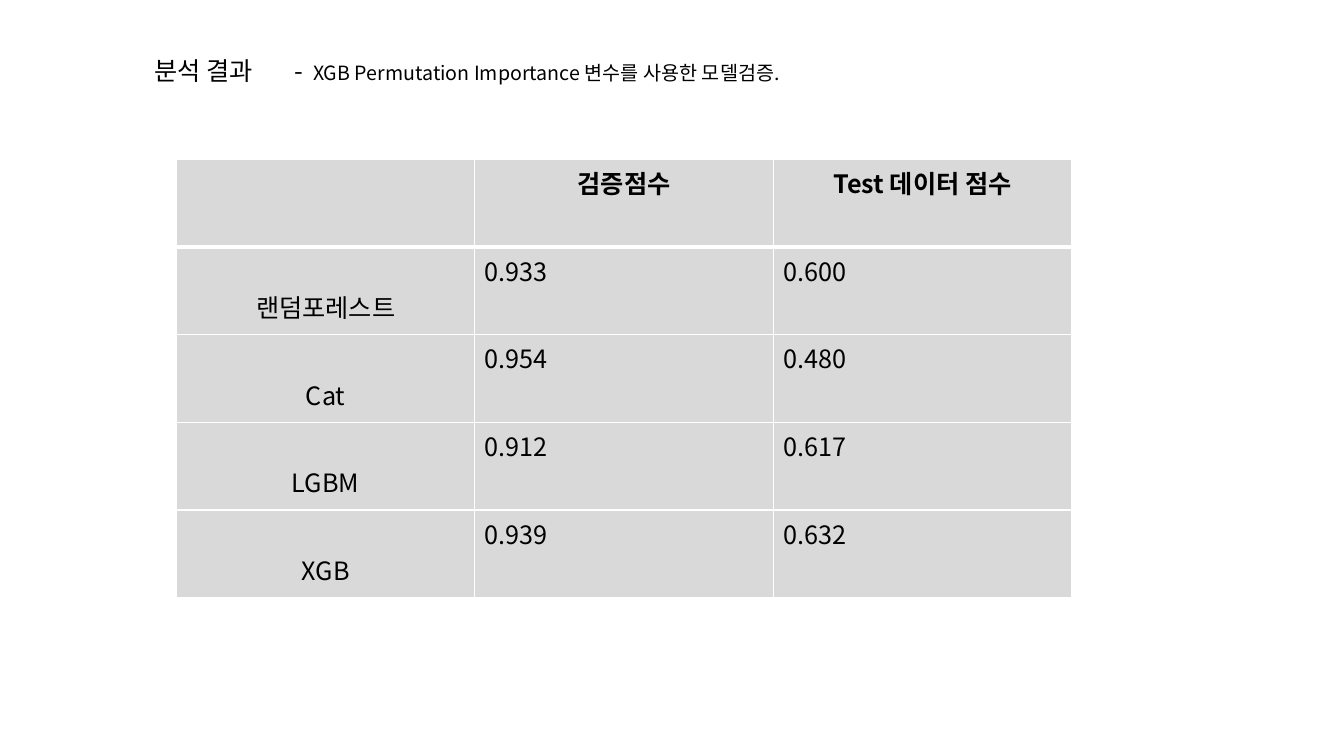
from lxml.etree import SubElement as Sub
from pptx import Presentation
from pptx.dml.color import RGBColor
from pptx.enum.text import MSO_AUTO_SIZE as Auto, PP_ALIGN as Align
from pptx.oxml.ns import qn
from pptx.util import Inches, Pt

FONT = "Noto Sans CJK KR"
HEADS = [
    (1.43, 5.23, [("분석 결과", 18)]),
    (2.82, 5.78, [("- ", 18), (" XGB Permutation Importance 변수를 사용한 모델검증.", 14)]),
]
SCORES = [
    ("", "검증점수", "Test 데이터 점수"),
    ("랜덤포레스트", "0.933", "0.600"),
    ("Cat", "0.954", "0.480"),
    ("LGBM", "0.912", "0.617"),
    ("XGB", "0.939", "0.632"),
]
LEFT, TOP, WIDE, HIGH = 1.75, 1.58, 2.96, 0.87


def color(code):
    return RGBColor.from_string(code)


def write(para, text, size, bold=False):
    run = para.add_run()
    run.text = text
    look = {"name": FONT, "size": Pt(size), "bold": bold}
    for key, value in look.items():
        setattr(run.font, key, value)
    run.font.color.rgb = color("000000")
    Sub(run.font._element, qn("a:ea"), typeface=FONT)


def edge(cell, side, width):
    line = Sub(cell._tc.get_or_add_tcPr(), qn("a:" + side), w=str(Pt(width)))
    Sub(Sub(line, qn("a:solidFill")), qn("a:srgbClr"), val="FFFFFF")


def head(slide, left, width, runs):
    box = slide.shapes.add_textbox(Inches(left), Inches(0.5), Inches(width), Inches(0.4))
    frame = box.text_frame
    frame.word_wrap = True
    frame.auto_size = Auto.SHAPE_TO_FIT_TEXT
    for text, size in runs:
        write(frame.paragraphs[0], text, size)


def grid(slide):
    rows, cols = len(SCORES), len(SCORES[0])
    table = slide.shapes.add_table(
        rows, cols, Inches(LEFT), Inches(TOP), Inches(WIDE * cols), Inches(HIGH * rows)
    ).table
    for col in table.columns:
        col.width = Inches(WIDE)
    for row in table.rows:
        row.height = Inches(HIGH)
    for r, row in enumerate(SCORES):
        for c, text in enumerate(row):
            cell = table.cell(r, c)
            for side in ("lnL", "lnR", "lnT", "lnB"):
                thick = (r, side) in ((0, "lnB"), (1, "lnT"))
                edge(cell, side, 3 if thick else 1)
            cell.fill.solid()
            cell.fill.fore_color.rgb = color("D9D9D9")
            para = cell.text_frame.paragraphs[0]
            para.alignment = Align.CENTER if r == 0 or c == 0 else Align.LEFT
            if r and c == 0:
                cell.margin_top = Inches(0.41)
            if text:
                write(para, text, 18, r == 0)


def main():
    deck = Presentation()
    deck.slide_width, deck.slide_height = Inches(13.33), Inches(7.5)
    slide = deck.slides.add_slide(deck.slide_layouts[6])
    for item in HEADS:
        head(slide, *item)
    grid(slide)
    deck.save("out.pptx")


if __name__ == "__main__":
    main()
